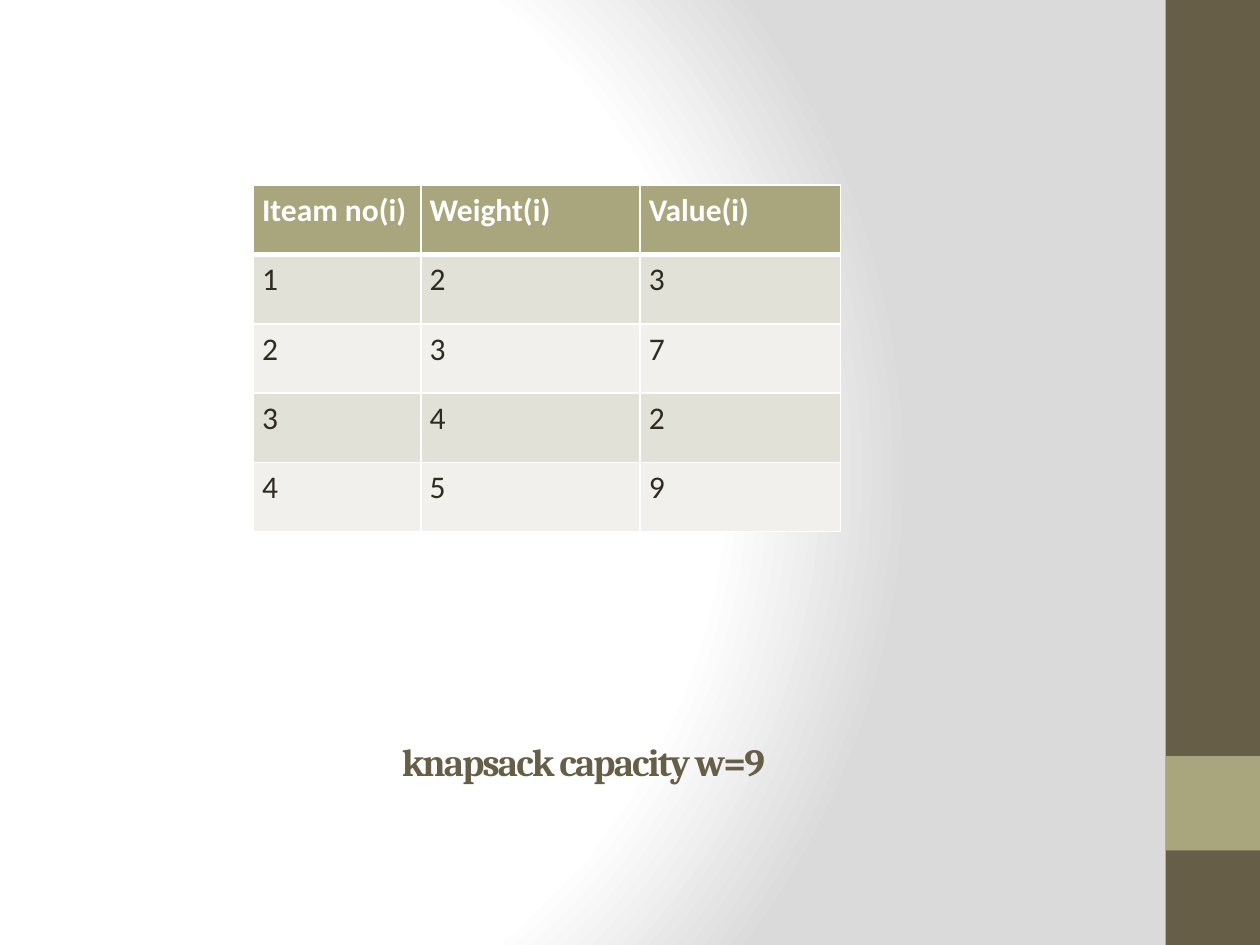
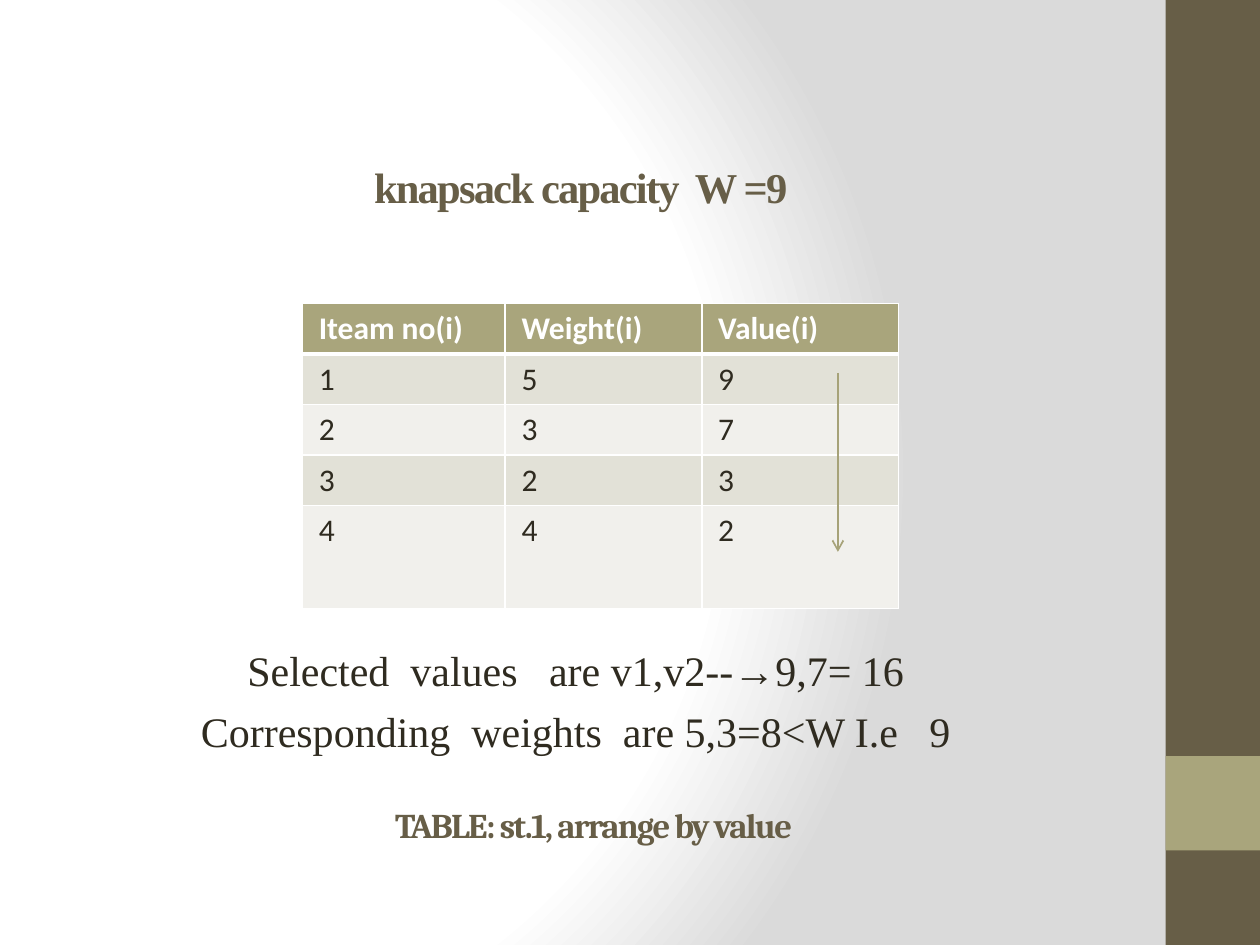
from lxml import etree
from pptx import Presentation
from pptx import util as u
from pptx.dml.color import RGBColor
from pptx.enum import shapes, text
from pptx.oxml import ns

# Content
HEAD = ["Iteam no(i)", "Weight(i)", "Value(i)"]
ITEMS = [(1, 2, 3), (2, 3, 7), (3, 4, 2), (4, 5, 9)]
SORTED = [(1, 5, 9), (2, 3, 7), (3, 2, 3), (4, 4, 2)]
RESULT = ["Selected  values   are v1,v2--→9,7= 16",
          "Corresponding  weights  are 5,3=8<W I.e   9"]

# Shared look
W, H = 10, 7.5
BAND = 0.75
DARK, OLIVE, INK, WHITE = "675E47", "A9A57C", "2F2B20", "FFFFFF"
ROWS = ["E2E1D7", "F1F0EC"]
STOPS = [(0, WHITE), (75, WHITE), (100, "DADADA")]
SERIF, TIMES, SANS = "Cambria", "Times New Roman", "Calibri"


def rgb(code):
    return RGBColor.from_string(code)


def node(up, tag, **attrs):
    return etree.SubElement(up, ns.qn("a:" + tag), attrs)


def write(par, words, font, size, color, bold=False, track=0):
    run = par.add_run()
    run.text = words
    f = run.font
    f.name, f.size, f.bold = font, u.Pt(size), bold
    f.color.rgb = rgb(color)
    if track:
        run._r.get_or_add_rPr().set("spc", str(track))


def backdrop(master):
    master.background.fill.solid()
    props = master.element.find(".//" + ns.qn("p:bgPr"))
    props.remove(props[0])
    grad = node(props, "gradFill", rotWithShape="1")
    props.insert(0, grad)
    stops = node(grad, "gsLst")
    for pos, color in STOPS:
        stop = node(stops, "gs", pos=str(pos * 1000))
        node(stop, "srgbClr", val=color)
    shade = node(grad, "path", path="circle")
    node(shade, "fillToRect", l="20000", t="50000", r="100000", b="50000")


def band(slide, top, tall, color):
    box = slide.shapes.add_shape(
        shapes.MSO_SHAPE.RECTANGLE, u.Inches(W - BAND), u.Inches(top),
        u.Inches(BAND), u.Inches(tall))
    box.shadow.inherit = False
    box.fill.solid()
    box.fill.fore_color.rgb = rgb(color)
    box.line.fill.background()


def page(deck):
    slide = deck.slides.add_slide(deck.slide_layouts[6])
    band(slide, 0, H, DARK)
    band(slide, H * 0.8, BAND, OLIVE)
    return slide


def lines(slide, mid, base, wide, tall, rows, gap=0, **look):
    """Centred lines on the axis mid, resting on the height base."""
    box = slide.shapes.add_textbox(
        u.Inches(mid - wide / 2), u.Inches(base - tall),
        u.Inches(wide), u.Inches(tall))
    frame = box.text_frame
    frame.word_wrap = True
    frame.vertical_anchor = text.MSO_ANCHOR.BOTTOM
    for i, words in enumerate(rows):
        par = frame.add_paragraph() if i else frame.paragraphs[0]
        par.alignment = text.PP_ALIGN.CENTER
        par.space_before = u.Pt(gap)
        write(par, words, **look)


def title(slide, mid, base, words, font, size):
    lines(slide, mid, base, 7.4, 0.5, [words], font=font, size=size,
          color=DARK, bold=True, track=-100)


def edges(cell, row):
    props = cell._tc.get_or_add_tcPr()
    thick = {"T": 3 if row == 1 else 1, "B": 3 if row == 0 else 1}
    for side in "LRTB":
        line = node(props, "ln" + side, w=str(u.Pt(thick.get(side, 1))))
        node(node(line, "solidFill"), "srgbClr", val=WHITE)


def grid(slide, left, top, cols, talls, items, pad):
    data = [HEAD, *items]
    table = slide.shapes.add_table(
        len(data), len(cols), u.Inches(left), u.Inches(top),
        u.Inches(sum(cols)), u.Inches(sum(talls))).table
    for col, wide in zip(table.columns, cols):
        col.width = u.Inches(wide)
    for r, (vals, tall) in enumerate(zip(data, talls)):
        table.rows[r].height = u.Inches(tall)
        for c, val in enumerate(vals):
            cell = table.cell(r, c)
            cell.margin_left = cell.margin_right = u.Inches(pad)
            edges(cell, r)
            cell.fill.solid()
            cell.fill.fore_color.rgb = rgb(ROWS[(r - 1) % 2] if r else OLIVE)
            write(cell.text_frame.paragraphs[0], str(val), SANS, 18,
                  INK if r else WHITE, bold=r == 0)


def arrow(slide, x, top, end):
    line = slide.shapes.add_connector(
        shapes.MSO_CONNECTOR.STRAIGHT, u.Inches(x), u.Inches(top),
        u.Inches(x), u.Inches(end))
    line.line.color.rgb = rgb("A6A278")
    line.line.width = u.Pt(1)
    node(line.line._get_or_add_ln(), "tailEnd", type="arrow")
    node(line._element.spPr, "effectLst")


def main():
    deck = Presentation()
    deck.slide_width, deck.slide_height = u.Inches(W), u.Inches(H)
    backdrop(deck.slide_master)

    # The items as given
    slide = page(deck)
    title(slide, 4.63, 6.27, "knapsack capacity w=9", SERIF, 22)
    grid(slide, 2.01, 1.47, [1.33, 1.74, 1.59], [0.55] * 5, ITEMS, 0.07)

    # The items by value, and what is chosen
    slide = page(deck)
    title(slide, 4.61, 1.73, "knapsack capacity  W =9", TIMES, 24.3)
    title(slide, 4.71, 6.76, "TABLE: st.1, arrange by value", SERIF, 19.8)
    grid(slide, 2.4, 2.41, [1.61, 1.56, 1.56], [0.4] * 4 + [0.82],
         SORTED, 0.13)
    lines(slide, 4.57, 6.05, 7.32, 1, RESULT, gap=6,
          font=TIMES, size=24, color=INK)
    arrow(slide, 6.65, 2.96, 4.38)

    deck.save("out.pptx")


if __name__ == "__main__":
    main()
